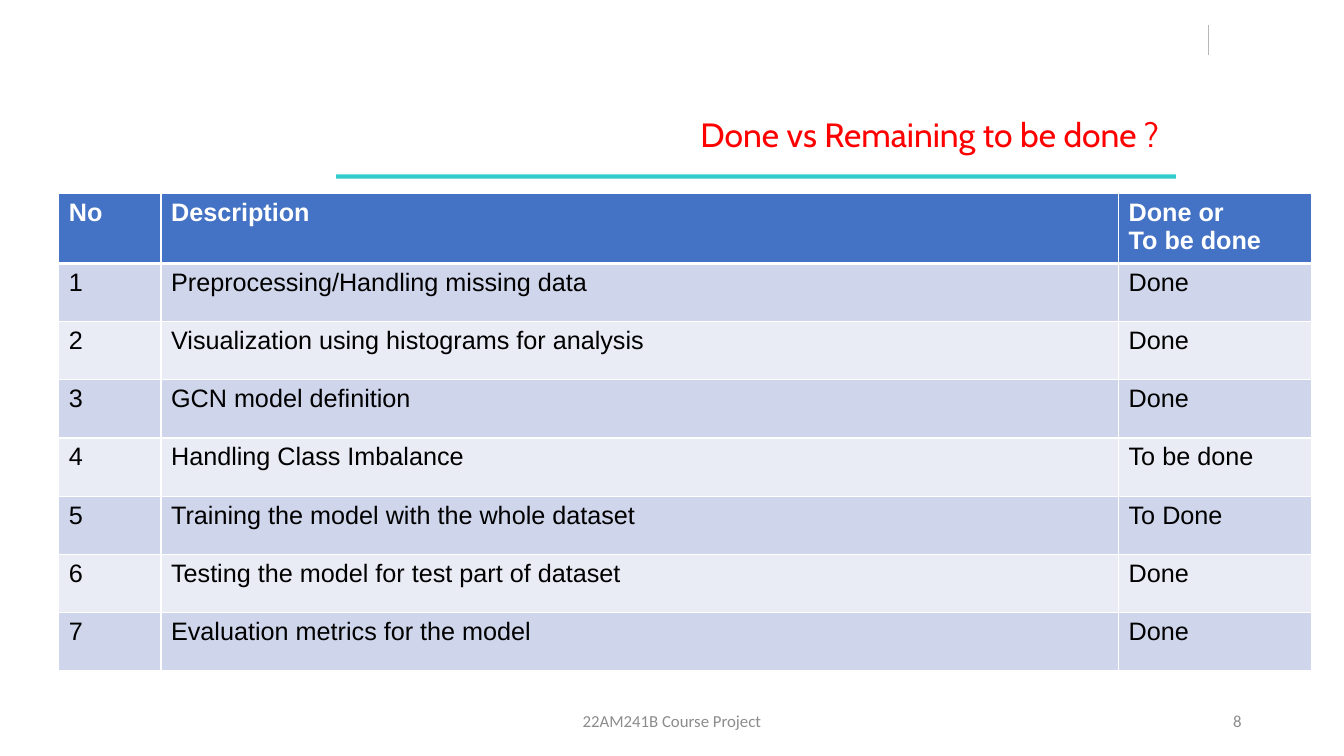
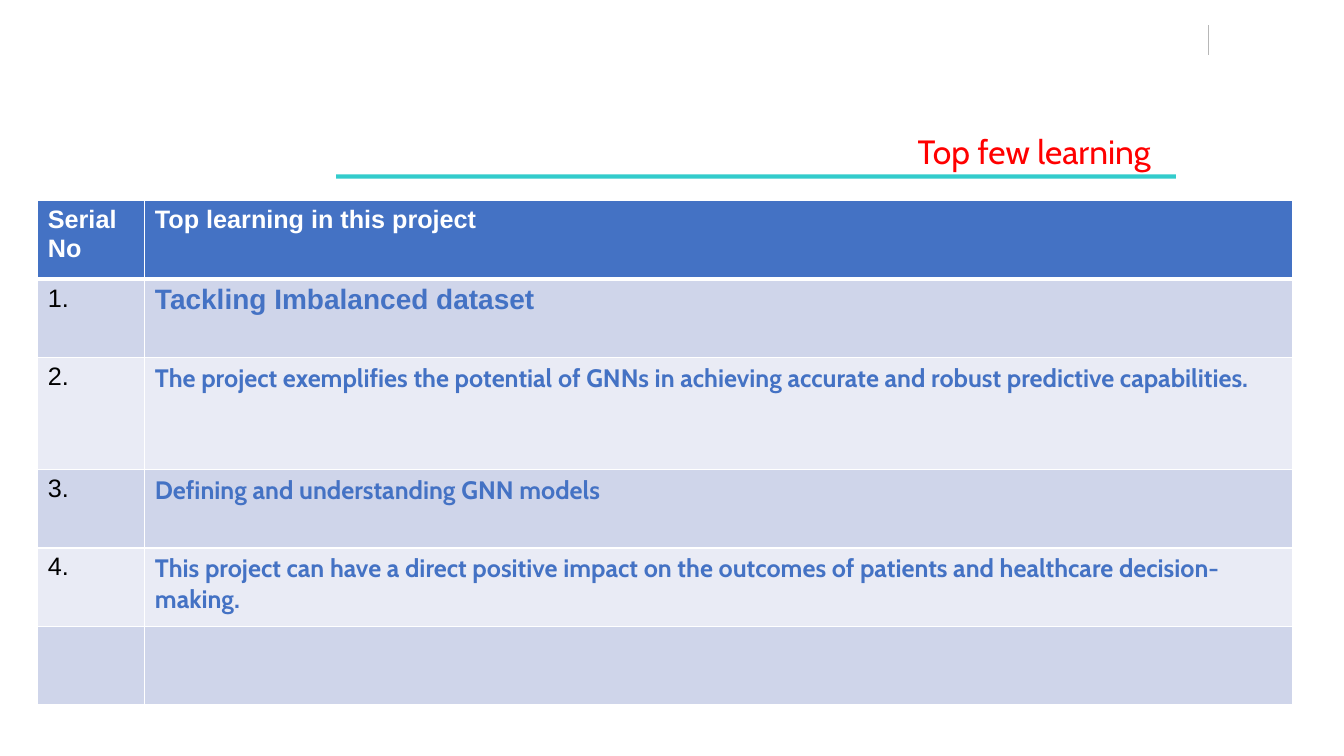
from dataclasses import dataclass

from lxml import etree
from pptx import Presentation
from pptx.dml.color import RGBColor
from pptx.enum import shapes, text
from pptx.oxml import ns
from pptx.util import Pt

WHITE = RGBColor(0xFF, 0xFF, 0xFF)
BLACK = RGBColor(0x00, 0x00, 0x00)
RED = RGBColor(0xFF, 0x00, 0x00)
TEAL = RGBColor(0x33, 0xCC, 0xCC)
BLUE = RGBColor(0x44, 0x72, 0xC4)
BANDS = (RGBColor(0xCF, 0xD5, 0xEA), RGBColor(0xE9, 0xEB, 0xF5))
GREY = RGBColor(0x8C, 0x8C, 0x8C)
LIGHT_GREY = RGBColor(0xB7, 0xB7, 0xB7)


@dataclass(frozen=True)
class Style:
    font: str
    size: float
    color: RGBColor
    bold: bool = False


TITLE = Style("Cabin", 24, RED)
FOOTER = Style("Calibri", 12, GREY)
HEADER = Style("Arial", 18, WHITE, True)
BODY = Style("Arial", 18, BLACK)
LEARNING = Style("Cabin", 18, BLUE, True)
KEY_LEARNING = Style("Arial", 20, BLUE, True)

LEFT, CENTER, RIGHT = (text.PP_ALIGN.LEFT, text.PP_ALIGN.CENTER, text.PP_ALIGN.RIGHT)


class Deck:
    def __init__(self):
        self.deck = Presentation()
        self.deck.slide_width, self.deck.slide_height = Pt(960), Pt(540)
        self.page = None

    def add_words(self, frame, words, style, align=LEFT):
        """Put each line of words in a paragraph of its own."""
        for index, line in enumerate(words.split("\n")):
            para = frame.paragraphs[0] if index == 0 else frame.add_paragraph()
            para.alignment = align
            span = para.add_run()
            span.text = line
            span.font.name = style.font
            span.font.size = Pt(style.size)
            span.font.bold = style.bold
            span.font.color.rgb = style.color

    def start_page(self, title, top, width):
        """Add a slide with its title, the teal rule and the corner line."""
        self.page = self.deck.slides.add_slide(self.deck.slide_layouts[5])
        box = self.page.shapes.title
        box.left, box.top, box.width, box.height = Pt(228), Pt(top), Pt(width), Pt(36)
        frame = box.text_frame
        frame.auto_size = text.MSO_AUTO_SIZE.NONE
        frame.vertical_anchor = text.MSO_ANCHOR.TOP
        frame.margin_right = Pt(18)
        self.add_words(frame, title, TITLE, RIGHT)
        self.bar(240, 124.6, 600, 3)
        self.line(863.3, 18, 863.3, 39.6)

    def bar(self, left, top, width, height):
        bar = self.page.shapes.add_shape(
            shapes.MSO_SHAPE.RECTANGLE, Pt(left), Pt(top), Pt(width), Pt(height))
        bar.shadow.inherit = False
        bar.fill.solid()
        bar.fill.fore_color.rgb = TEAL
        bar.line.fill.background()

    def line(self, x1, y1, x2, y2):
        line = self.page.shapes.add_connector(
            shapes.MSO_CONNECTOR.STRAIGHT, Pt(x1), Pt(y1), Pt(x2), Pt(y2))
        line.line.color.rgb = LIGHT_GREY
        line.line.width = Pt(0.75)
        etree.SubElement(line._element.spPr, ns.qn("a:effectLst"))

    def footer(self, words, left, width, align):
        box = self.page.shapes.add_textbox(Pt(left), Pt(500.5), Pt(width), Pt(28.8))
        box.text_frame.word_wrap = True
        box.text_frame.vertical_anchor = text.MSO_ANCHOR.MIDDLE
        self.add_words(box.text_frame, words, FOOTER, align)

    def border(self, cell, top, bottom):
        """Draw white cell borders; top and bottom are line widths."""
        properties = cell._tc.get_or_add_tcPr()
        for side, width in (("L", 1), ("R", 1), ("T", top), ("B", bottom)):
            edge = etree.SubElement(properties, ns.qn(f"a:ln{side}"), w=str(Pt(width)))
            fill = etree.SubElement(edge, ns.qn("a:solidFill"))
            etree.SubElement(fill, ns.qn("a:srgbClr"), val=str(WHITE))

    def table(self, left, top, widths, heights, rows):
        """Build a banded table; a cell is its words or (words, style)."""
        table = self.page.shapes.add_table(
            len(rows), len(widths), Pt(left), Pt(top),
            Pt(sum(widths)), Pt(sum(heights))).table
        for column, width in zip(table.columns, widths):
            column.width = Pt(width)
        for number, (row, height, entries) in enumerate(zip(table.rows, heights, rows)):
            row.height = Pt(height)
            is_header = number == 0
            default = HEADER if is_header else BODY
            for cell, entry in zip(row.cells, entries):
                self.border(cell, 3 if number == 1 else 1, 3 if is_header else 1)
                cell.fill.solid()
                cell.fill.fore_color.rgb = BLUE if is_header else BANDS[(number - 1) % 2]
                words, style = (entry, default) if isinstance(entry, str) else entry
                if words:
                    self.add_words(cell.text_frame, words, style)


def main():
    show = Deck()

    show.start_page("Done vs Remaining to be done ?", 78, 618)
    tasks = [
        ("Preprocessing/Handling missing data", "Done"),
        ("Visualization using histograms for analysis", "Done"),
        ("GCN model definition", "Done"),
        ("Handling Class Imbalance", "To be done"),
        ("Training the model with the whole dataset", "To Done"),
        ("Testing the model for test part of dataset", "Done"),
        ("Evaluation metrics for the model", "Done"),
    ]
    task_rows = [(str(number), *task) for number, task in enumerate(tasks, 1)]
    show.table(42, 138.2, [73, 684, 138], [50] + [41.6] * len(tasks),
               [("No", "Description", "Done or\nTo be done")] + task_rows)
    show.footer("8", 678, 216, RIGHT)
    show.footer("22AM241B Course Project", 318, 324, CENTER)

    show.start_page("Top few learning", 90, 612)
    learnings = [
        ("Tackling Imbalanced dataset", KEY_LEARNING),
        ("The project exemplifies the potential of GNNs in achieving accurate "
         "and robust predictive capabilities.", LEARNING),
        ("Defining and understanding GNN models", LEARNING),
        ("This project can have a direct positive impact on the outcomes of "
         "patients and healthcare decision-making.", LEARNING),
    ]
    learning_rows = [(f"{number}.", entry) for number, entry in enumerate(learnings, 1)]
    show.table(27, 143.5, [76.5, 820], [56, 56, 80, 56, 56, 56],
               [("Serial\nNo", "Top learning in this project")]
               + learning_rows + [("", "")])

    show.deck.save("out.pptx")


if __name__ == "__main__":
    main()
